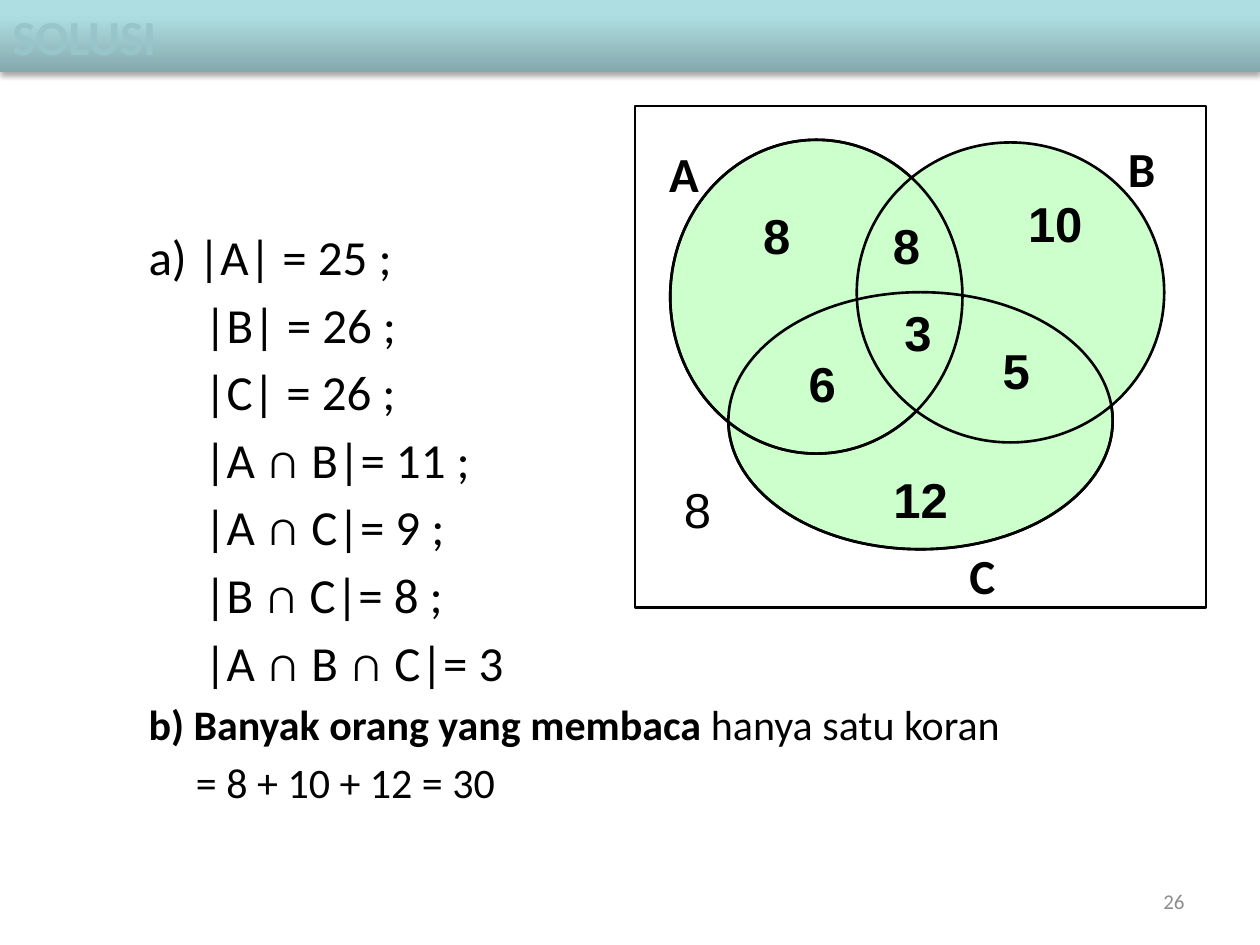
from typing import NamedTuple, Optional

from lxml import etree
from pptx import Presentation
from pptx import util as u
from pptx.dml.color import RGBColor
from pptx.enum import shapes, text
from pptx.oxml import ns

BLACK = RGBColor(0x00, 0x00, 0x00)
WHITE = RGBColor(0xFF, 0xFF, 0xFF)
GREEN = RGBColor(0xCC, 0xFF, 0xCC)
GREY = RGBColor(0x8C, 0x8C, 0x8C)
TITLE_TEAL = RGBColor(0x98, 0xC5, 0xC9)
BANNER_STOPS = ((0, "85AAAD"), (80, "AFDEE2"), (100, "AFE0E4"))
LEFT, CENTER, RIGHT = text.PP_ALIGN.LEFT, text.PP_ALIGN.CENTER, text.PP_ALIGN.RIGHT


class Area(NamedTuple):
    left: float
    top: float
    width: float
    height: float

    def lengths(self) -> list:
        return [u.Pt(value) for value in self]


class Label(NamedTuple):
    wording: str
    area: Area
    font: str = "Calibri"
    bold: bool = True
    size: float = 28
    color: RGBColor = BLACK
    align: text.PP_ALIGN = CENTER


class Line(NamedTuple):
    spans: tuple  # (wording, bold) pairs
    indent: float = 0
    size: float = 28
    before: float = 5


def add_span(para, wording: str, **formats) -> None:
    """Add a run; formats are font attributes."""
    span = para.add_run()
    span.text = wording
    span.font.color.rgb = formats.pop("color", BLACK)
    for name, value in formats.items():
        setattr(span.font, name, value)


def add_outline(page, kind, area: Area, fill: Optional[RGBColor]) -> None:
    """Draw a black-edged shape, hollow when no fill is given."""
    shape = page.shapes.add_shape(kind, *area.lengths())
    shape.shadow.inherit = False
    if fill is None:
        shape.fill.background()
    else:
        shape.fill.solid()
        shape.fill.fore_color.rgb = fill
    shape.line.color.rgb = BLACK
    shape.line.width = u.Pt(1.5)


def add_label(page, label: Label) -> None:
    box = page.shapes.add_textbox(*label.area.lengths())
    box.text_frame.word_wrap = True
    if label.align == RIGHT:
        box.text_frame.vertical_anchor = text.MSO_ANCHOR.MIDDLE
    para = box.text_frame.paragraphs[0]
    para.alignment = label.align
    add_span(para, label.wording, name=label.font, bold=label.bold,
             size=u.Pt(label.size), color=label.color)


def add_banner(page, area: Area, title: str) -> None:
    """Draw the title bar with its vertical gradient and soft shadow."""
    bar = page.shapes.add_shape(shapes.MSO_SHAPE.RECTANGLE, *area.lengths())
    bar.line.fill.background()
    bar.fill.gradient()
    bar.fill.gradient_angle = 90
    stops = bar.fill._fill._gradFill.find(ns.qn("a:gsLst"))
    for stop in list(stops):
        stops.remove(stop)
    for position, color in BANNER_STOPS:
        stop = etree.SubElement(stops, ns.qn("a:gs"), pos=str(position * 1000))
        etree.SubElement(stop, ns.qn("a:srgbClr"), val=color)

    bar.shadow.inherit = False
    effects = bar._element.spPr.find(ns.qn("a:effectLst"))
    shadow = etree.SubElement(
        effects, ns.qn("a:outerShdw"), blurRad=str(u.Pt(3.1)),
        dist=str(u.Pt(1.8)), dir="5400000", rotWithShape="0")
    tint = etree.SubElement(shadow, ns.qn("a:srgbClr"), val="000000")
    etree.SubElement(tint, ns.qn("a:alpha"), val="35000")

    bar.text_frame.word_wrap = True
    bar.text_frame.vertical_anchor = text.MSO_ANCHOR.TOP
    para = bar.text_frame.paragraphs[0]
    para.alignment = LEFT
    add_span(para, title, name="Calibri", bold=True, size=u.Pt(28), color=TITLE_TEAL)


def add_answers(page, area: Area, lines: list[Line]) -> None:
    box = page.shapes.add_textbox(*area.lengths())
    frame = box.text_frame
    frame.word_wrap = True
    for index, line in enumerate(lines):
        para = frame.paragraphs[0] if index == 0 else frame.add_paragraph()
        para.space_before = u.Pt(line.before)
        para._p.get_or_add_pPr().set("marL", str(u.Pt(line.indent)))
        for wording, bold in line.spans:
            add_span(para, wording, name="Calibri", bold=bold, size=u.Pt(line.size))


def region(wording: str, left: float, top: float, bold: bool = True) -> Label:
    """Count shown inside one region of the Venn diagram."""
    return Label(wording, Area(left, top, 61.2, 44.6), "Arial", bold)


UNIVERSE = Area(362.9, 60.5, 326.2, 286.6)
SET_A = Area(383, 79.9, 167, 179.3)
SET_B = Area(489.6, 81.4, 175.7, 171.4)
SET_C = Area(416.2, 167, 219.6, 146.9)

LABELS = [
    Label("A", Area(365, 78.5, 51.8, 57.6)),
    Label("B", Area(626.4, 75.6, 51.8, 57.6)),
    Label("C", Area(535, 308.2, 52.6, 41)),
    region("3", 493.9, 169.2),
    region("8", 487.4, 119.5),
    region("5", 550.1, 190.8),
    region("6", 439.2, 198.7),
    region("8", 413.3, 113.8),
    region("10", 572.4, 107.3),
    region("8", 367.9, 270.7, bold=False),
    region("12", 495.4, 265),
    Label("26", Area(516.2, 500.4, 167.8, 28.8), bold=False, size=12,
          color=GREY, align=RIGHT),
]

CARDINALITIES = ["|B| = 26 ;", "|C| = 26 ;", "|A ∩ B|= 11 ;", "|A ∩ C|= 9 ;",
                 "|B ∩ C|= 8 ;", "|A ∩ B ∩ C|= 3"]
ANSWERS = [
    Line((("a) |A| = 25 ;", False),)),
    *[Line(((wording, False),), indent=31.7) for wording in CARDINALITIES],
    Line((("b) Banyak orang yang membaca ", True), ("hanya satu koran", False)),
         size=24, before=4.4),
    Line((("= 8 + 10 + 12 = 30", False),), indent=27.1, size=24, before=4.4),
]


def main() -> None:
    deck = Presentation()
    deck.slide_width, deck.slide_height = u.Pt(720), u.Pt(540)
    page = deck.slides.add_slide(deck.slide_layouts[6])

    # Title bar
    add_banner(page, Area(0, 0, 720, 41), "SOLUSI")

    # Venn diagram: filled sets, then the edges that they cover
    add_outline(page, shapes.MSO_SHAPE.RECTANGLE, UNIVERSE, WHITE)
    for area, fill in ((SET_C, GREEN), (SET_A, GREEN), (SET_B, GREEN),
                       (SET_A, None), (SET_C, None)):
        add_outline(page, shapes.MSO_SHAPE.OVAL, area, fill)

    # Set names, counts and page number
    for label in LABELS:
        add_label(page, label)

    # Worked answers
    add_answers(page, Area(77.8, 126, 606.2, 391.7), ANSWERS)
    deck.save("out.pptx")


if __name__ == "__main__":
    main()
